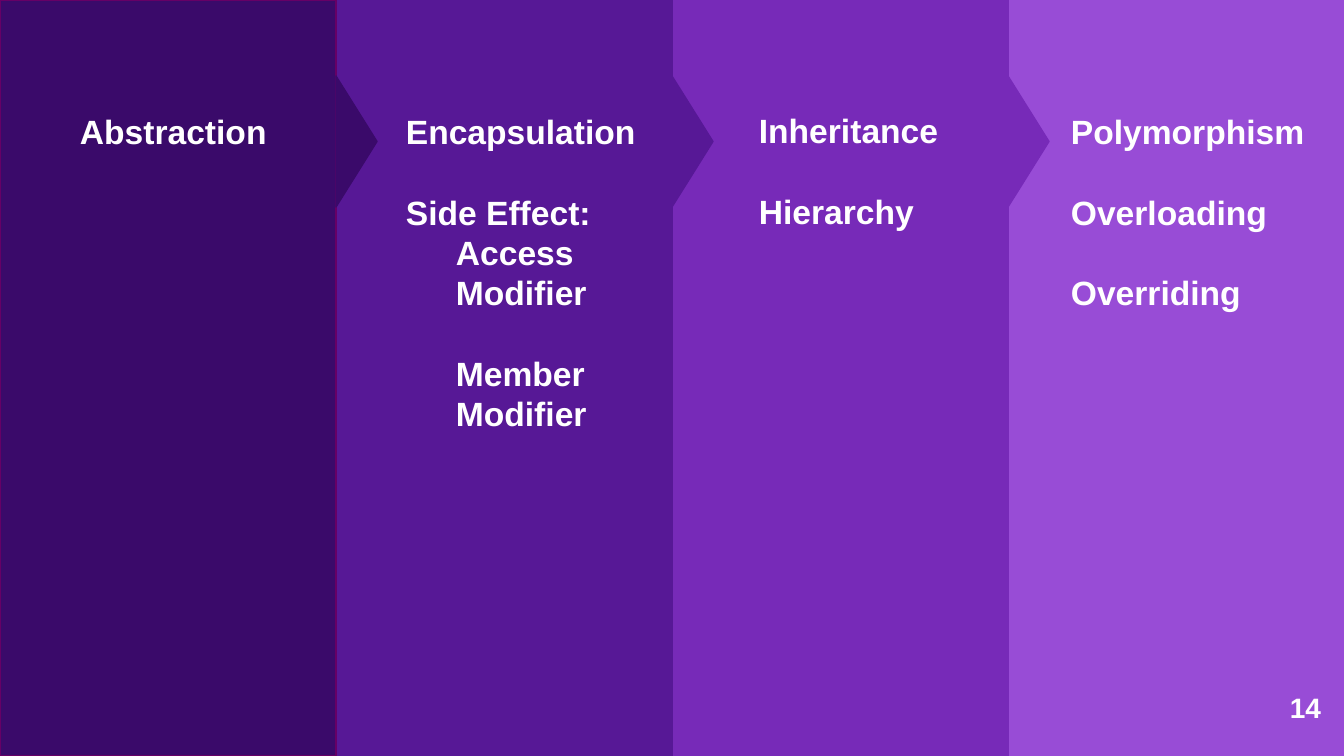
from dataclasses import dataclass

from pptx import Presentation
from pptx.dml.color import RGBColor
from pptx.enum.shapes import MSO_SHAPE
from pptx.util import Emu, Pt

RECTANGLE = MSO_SHAPE.RECTANGLE
TRIANGLE = MSO_SHAPE.ISOSCELES_TRIANGLE

# Content: each line is (text, indent level, blank lines before it)
COLUMNS = [
    {"fill": "3A0A6A", "line": "660066", "text_box": (70, 106, 219, 50),
     "lines": [("Abstraction", 0, 0)]},
    {"fill": "571896", "line": "571896", "text_box": (396, 106, 262, 336),
     "lines": [("Encapsulation", 0, 0), ("Side Effect:", 0, 1),
               ("Access", 1, 0), ("Modifier", 1, 0),
               ("Member", 1, 1), ("Modifier", 1, 0)]},
    {"fill": "772AB8", "line": "772AB8", "text_box": (749, 105, 210, 132),
     "lines": [("Inheritance", 0, 0), ("Hierarchy", 0, 1)]},
    {"fill": "984CD6", "line": "984CD6", "text_box": (1061, 106, 283, 214),
     "lines": [("Polymorphism", 0, 0), ("Overloading", 0, 1),
               ("Overriding", 0, 1)]},
]
PAGE_NUMBER = [("14", 0, 0)]
PAGE_NUMBER_BOX = (1280, 686, 56, 44)


@dataclass(frozen=True)
class Theme:
    background: str = "7711FF"
    text: str = "FFFFFF"
    font: str = "Arial"
    body_size: int = 24
    number_size: int = 20
    line_spacing: float = 1.2
    indent: int = 50


THEME = Theme()

# Geometry in px
SLIDE_WIDTH, SLIDE_HEIGHT = 1344, 756
COLUMN_WIDTH = SLIDE_WIDTH // len(COLUMNS)
ARROW_BASE, ARROW_DEPTH, ARROW_TOP = 131, 41, 76
EMU_PER_PX = 914400 / 100.8


def px(length):
    return Emu(round(length * EMU_PER_PX))


def add_block(shapes, kind, box, fill, line):
    shape = shapes.add_shape(kind, *map(px, box))
    shape.shadow.inherit = False
    shape.fill.solid()
    shape.fill.fore_color.rgb = RGBColor.from_string(fill)
    shape.line.color.rgb = RGBColor.from_string(line)
    shape.line.width = Pt(1)
    return shape


def add_text(shapes, box, lines, size):
    frame = shapes.add_textbox(*map(px, box)).text_frame
    frame.word_wrap = True
    pitch = size * THEME.line_spacing
    font_format = {"name": THEME.font, "size": Pt(size), "bold": True}
    for index, (text, level, blank_lines) in enumerate(lines):
        paragraph = frame.add_paragraph() if index else frame.paragraphs[0]
        paragraph.line_spacing = Pt(pitch)
        if blank_lines:
            paragraph.space_before = Pt(pitch * blank_lines)
        if level:
            properties = paragraph._p.get_or_add_pPr()
            properties.set("marL", str(px(THEME.indent * level)))
        run = paragraph.add_run()
        run.text = text
        for name, value in font_format.items():
            setattr(run.font, name, value)
        run.font.color.rgb = RGBColor.from_string(THEME.text)


def add_column(slide, index, column):
    shapes = slide.shapes.add_group_shape().shapes
    left = index * COLUMN_WIDTH
    add_block(shapes, RECTANGLE, (left, 0, COLUMN_WIDTH, SLIDE_HEIGHT),
              column["fill"], column["line"])
    # Arrow into the next column: a triangle turned about its centre
    if index < len(COLUMNS) - 1:
        offset = (ARROW_BASE - ARROW_DEPTH) // 2
        box = (left + COLUMN_WIDTH - offset, ARROW_TOP + offset,
               ARROW_BASE, ARROW_DEPTH)
        arrow = add_block(shapes, TRIANGLE, box, column["fill"], column["fill"])
        arrow.rotation = 90
    add_text(shapes, column["text_box"], column["lines"], THEME.body_size)


def main():
    presentation = Presentation()
    presentation.slide_width = px(SLIDE_WIDTH)
    presentation.slide_height = px(SLIDE_HEIGHT)
    slide = presentation.slides.add_slide(presentation.slide_layouts[6])
    background = slide.background.fill
    background.solid()
    background.fore_color.rgb = RGBColor.from_string(THEME.background)

    # Right to left, so that each arrow lies over the next column
    for index, column in reversed(list(enumerate(COLUMNS))):
        add_column(slide, index, column)
    add_text(slide.shapes, PAGE_NUMBER_BOX, PAGE_NUMBER, THEME.number_size)
    presentation.save("out.pptx")


if __name__ == "__main__":
    main()
